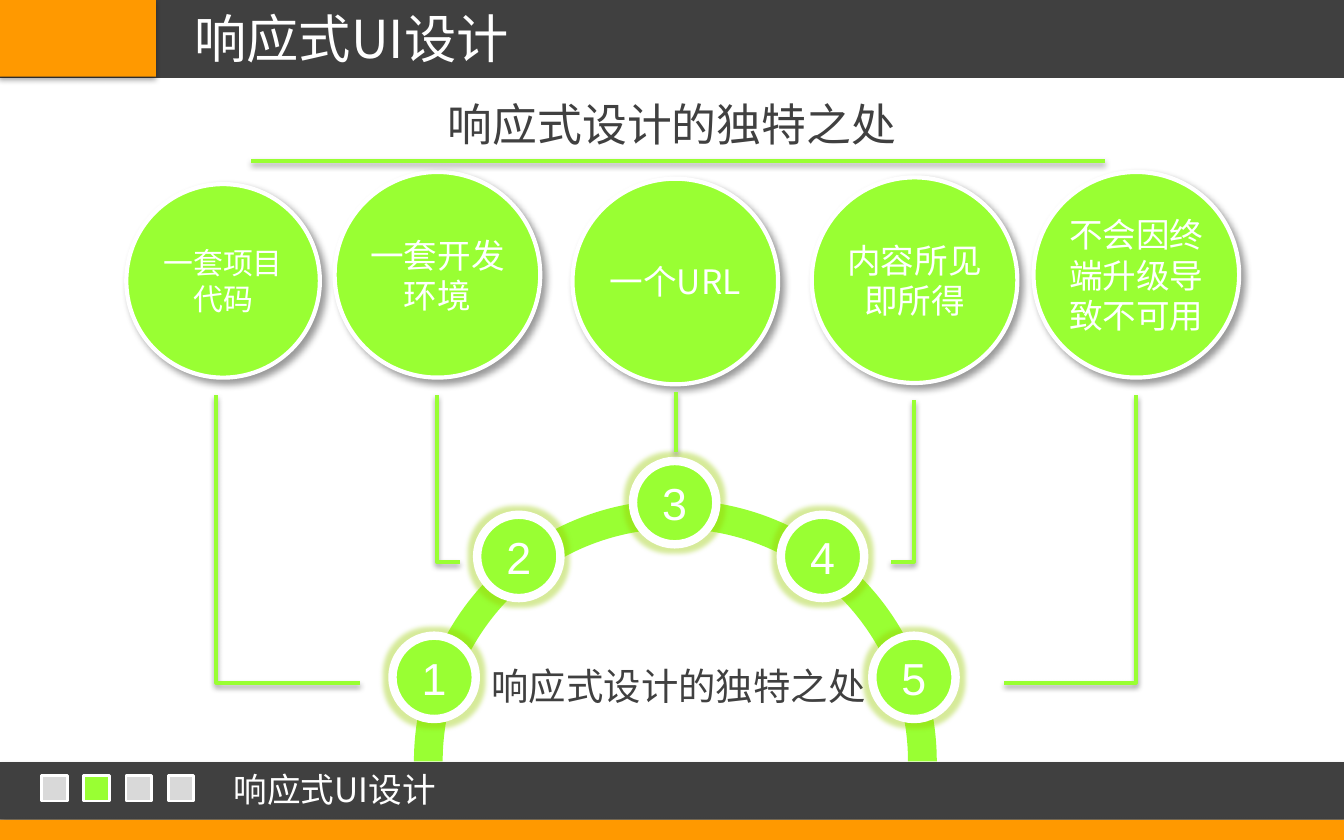
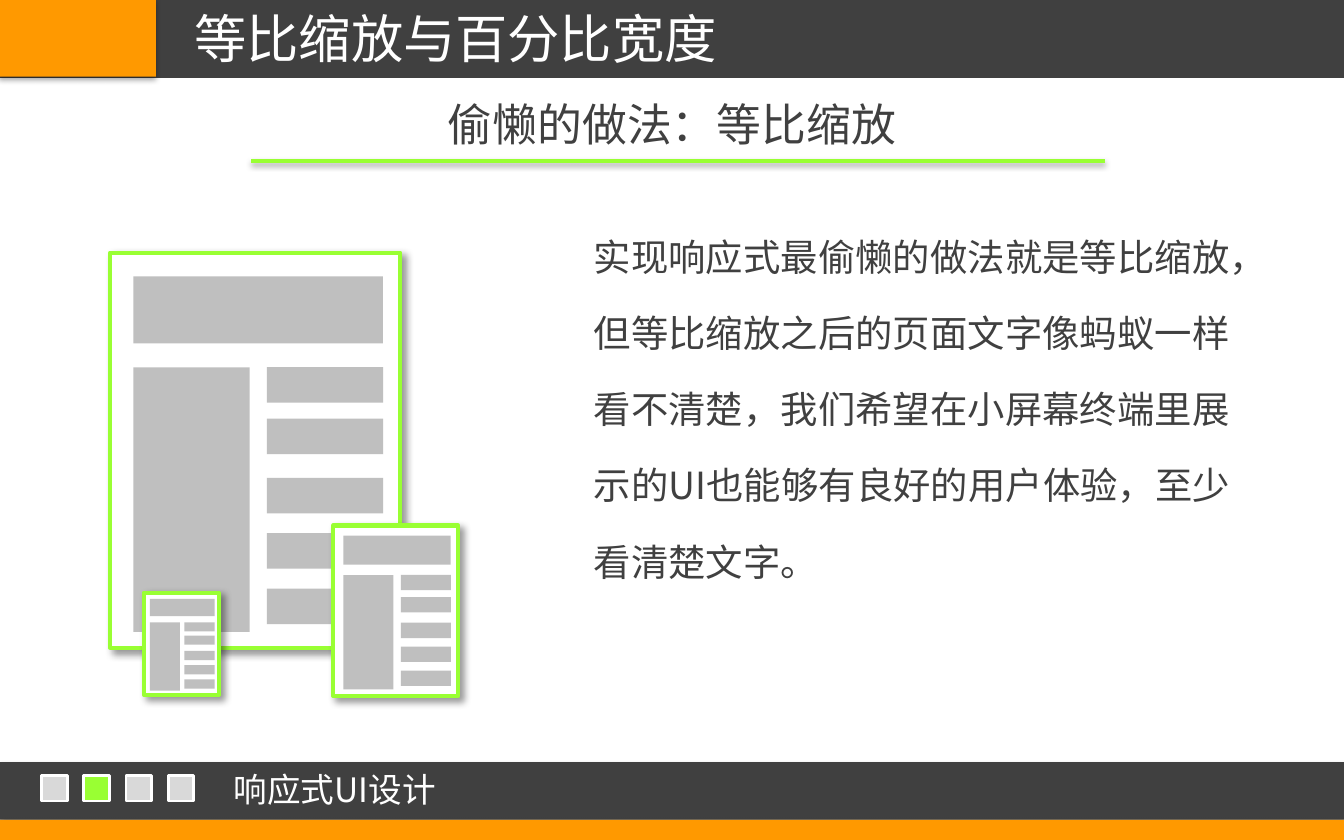
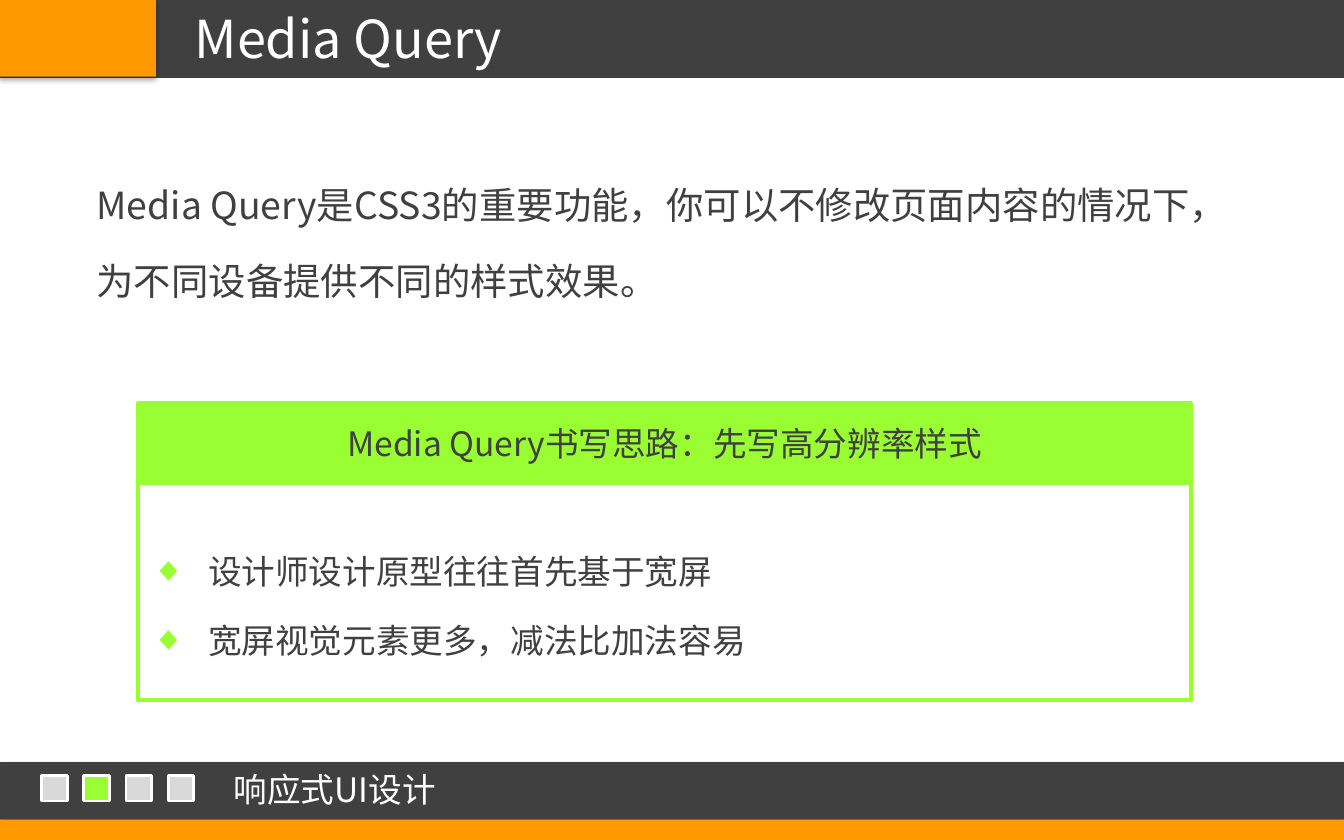
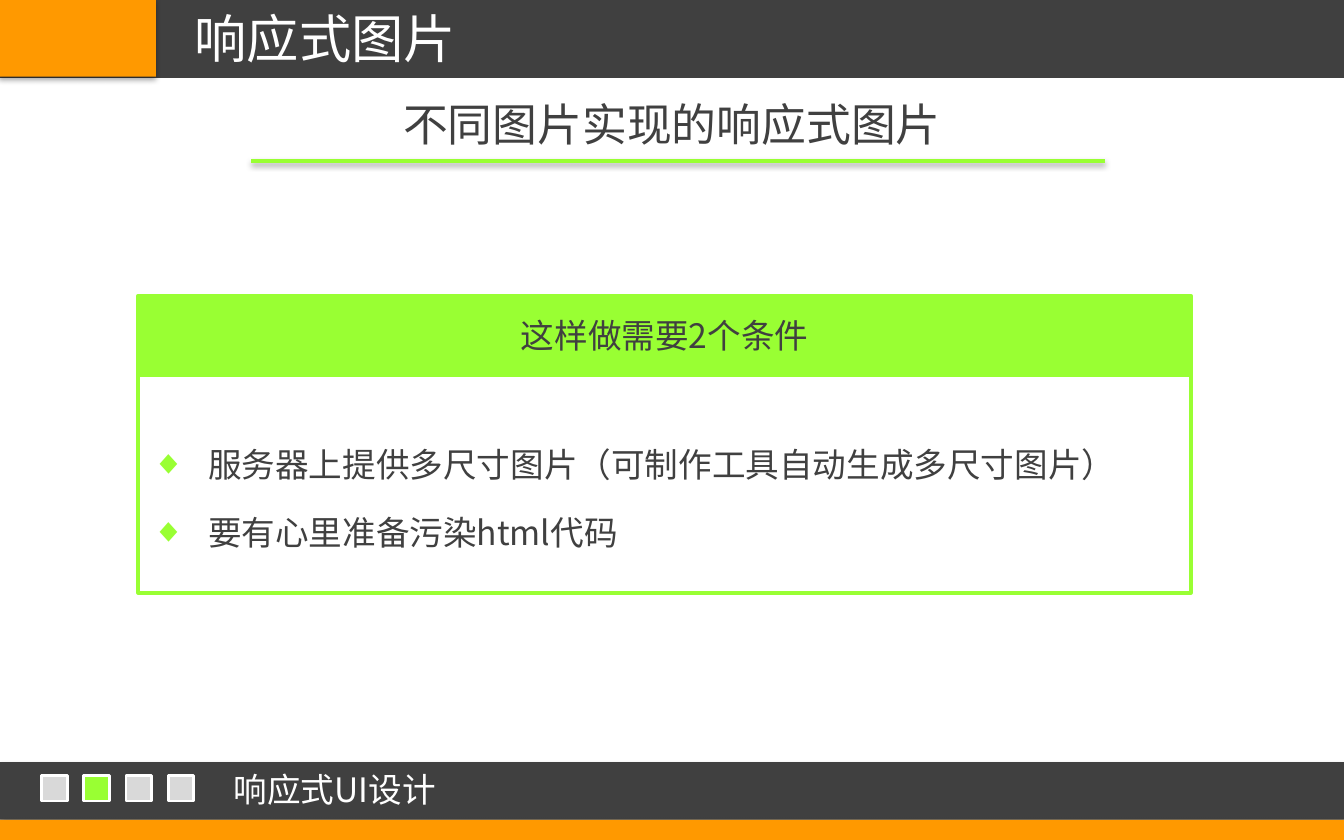
from dataclasses import dataclass
from typing import Optional

from lxml.etree import SubElement
from pptx import Presentation
from pptx.dml.color import RGBColor
from pptx.enum.shapes import MSO_CONNECTOR as LINK, MSO_SHAPE as KIND
from pptx.enum.text import MSO_ANCHOR as ANCHOR, MSO_AUTO_SIZE as FIT, PP_ALIGN as ALIGN
from pptx.oxml.ns import qn
from pptx.shapes.autoshape import Shape
from pptx.shapes.connector import Connector
from pptx.slide import Slide
from pptx.text.text import TextFrame
from pptx.util import Emu, Inches, Pt

# The grid: square cells, 100 columns by 62.5 rows
COLS, ROWS = 100, 62.5
CELL = Inches(10) / COLS

GREEN, ORANGE, DARK, WHITE = "99FF33", "FF9900", "404040", "FFFFFF"
PALE, GREY, BLACK, LIME = "D9D9D9", "BFBFBF", "000000", "99CC00"
CJK, LATIN = "Noto Sans CJK SC", "Arial"
TOPIC = "响应式UI设计"


@dataclass(frozen=True)
class Box:
    """Left, top, width and height in grid cells."""
    x: float
    y: float
    w: float
    h: float

    def emu(self) -> list[Emu]:
        return [cells(n) for n in (self.x, self.y, self.w, self.h)]

    def inner(self, share: "Box") -> "Box":
        """The box that takes the given shares of this one."""
        return Box(self.x + share.x * self.w, self.y + share.y * self.h,
                   share.w * self.w, share.h * self.h)


@dataclass(frozen=True)
class Shade:
    alpha: int
    blur: float
    dist: float
    angle: int


@dataclass(frozen=True)
class Style:
    size: float
    color: str = DARK
    font: str = CJK
    align: ALIGN = ALIGN.LEFT
    lines: Optional[float] = None
    before: float = 0


@dataclass(frozen=True)
class Trait:
    """A bubble, its label and the numbered stop on the arc it leads to."""
    label: str
    x: float
    y: float
    size: float
    stop: tuple[float, float]
    link: tuple[float, float, float, float]
    font: float = 18


BAND = Shade(35, 3.1, 1.8, 90)
DROP = Shade(40, 4, 3, 45)
RULE = Shade(38, 3.1, 1.6, 90)

BODY = Style(20, lines=1.7, before=4)
ITEM = Style(18, lines=1.7)

TRAITS = [
    Trait("一套项目代码", 9.4, 13.7, 14.4, (29.2, 47.3), (16.1, 29.4, 26.8, 50.8), 16),
    Trait("一套开发环境", 24.9, 12.8, 15.3, (35.5, 38.3), (32.5, 29.4, 34.2, 41.8)),
    Trait("一个URL", 42.6, 13.3, 15.3, (47.1, 34.3), (50.3, 29.2, 50.3, 33.6)),
    Trait("内容所见即所得", 60.4, 13.2, 15.3, (58.1, 38.3), (68, 29.8, 66.3, 41.8)),
    Trait("不会因终端升级导致不可用", 76.9, 12.8, 15.3, (64.9, 47.3), (84.5, 29.4, 74.7, 50.8)),
]

PAGES = [Box(8.2, 18.8, 21.6, 29.4), Box(24.8, 39.1, 9.3, 12.7), Box(10.7, 44.1, 5.6, 7.6)]
BLOCKS = [Box(0.08, 0.06, 0.86, 0.17), Box(0.08, 0.29, 0.4, 0.67)]
BLOCKS += [Box(0.54, y, 0.4, 0.09) for y in (0.29, 0.42, 0.57, 0.71, 0.85)]


def cells(n: float) -> Emu:
    return Emu(round(n * CELL))


def rgb(code: str) -> RGBColor:
    return RGBColor.from_string(code)


def effect(shape: Shape | Connector, name: str, color: str, alpha: int, **attrs: int) -> None:
    """Give a shape one effect in place of the theme's."""
    props = shape._element.spPr
    area = props.find(qn("a:effectLst"))
    if area is None:
        area = SubElement(props, qn("a:effectLst"))
    node = SubElement(area, qn(name), {k: str(v) for k, v in attrs.items()})
    tint = SubElement(node, qn("a:srgbClr"), val=color)
    SubElement(tint, qn("a:alpha"), val=str(alpha * 1000))


def cast(shape: Shape | Connector, shade: Shade) -> None:
    effect(shape, "a:outerShdw", BLACK, shade.alpha, blurRad=Pt(shade.blur),
           dist=Pt(shade.dist), dir=shade.angle * 60000, rotWithShape=0)


def draw(shapes, kind: KIND, box: Box, fill: Optional[str] = None, line: Optional[str] = None,
         width: float = 2.25, shade: Optional[Shade] = None) -> Shape:
    shape = shapes.add_shape(kind, *box.emu())
    shape.shadow.inherit = False
    if fill:
        shape.fill.solid()
        shape.fill.fore_color.rgb = rgb(fill)
    else:
        shape.fill.background()
    if line:
        shape.line.color.rgb = rgb(line)
        shape.line.width = Pt(width)
    else:
        shape.line.fill.background()
    if shade:
        cast(shape, shade)
    return shape


def write(frame: TextFrame, style: Style, *texts: str) -> None:
    frame.word_wrap = True
    for i, text in enumerate(texts):
        para = frame.add_paragraph() if i else frame.paragraphs[0]
        para.text = text
        para.alignment = style.align
        if style.lines:
            para.line_spacing = style.lines
        if style.before:
            para.space_before = Pt(style.before)
        font = para.font
        font.size, font.name = Pt(style.size), style.font
        font.color.rgb = rgb(style.color)
        SubElement(font._element, qn("a:ea"), typeface=style.font)


def label(shape: Shape, style: Style, *texts: str) -> None:
    shape.text_frame.vertical_anchor = ANCHOR.MIDDLE
    write(shape.text_frame, style, *texts)


def text(slide: Slide, box: Box, style: Style, words: str, grow: bool = True) -> None:
    frame = slide.shapes.add_textbox(*box.emu()).text_frame
    write(frame, style, words)
    frame.auto_size = FIT.SHAPE_TO_FIT_TEXT if grow else FIT.NONE


def bullet(frame: TextFrame) -> None:
    for para in frame.paragraphs:
        props = para._p.get_or_add_pPr()
        props.set("marL", str(cells(4.2)))
        props.set("indent", str(cells(-4.2)))
        marks = [props.makeelement(qn(tag), {}) for tag in ("a:buClr", "a:buFont", "a:buChar")]
        SubElement(marks[0], qn("a:srgbClr"), val=GREEN)
        marks[1].set("typeface", LATIN)
        marks[2].set("char", "◆")
        for mark in marks:
            props.find(qn("a:defRPr")).addprevious(mark)


def finish(line: Connector) -> None:
    line.line.color.rgb = rgb(GREEN)
    line.line.width = Pt(2)
    cast(line, RULE)


def straight(slide: Slide, x1: float, y1: float, x2: float, y2: float) -> None:
    ends = [cells(n) for n in (x1, y1, x2, y2)]
    finish(slide.shapes.add_connector(LINK.STRAIGHT, *ends))


def elbow(slide: Slide, x1: float, y1: float, x2: float, y2: float) -> None:
    """A line that runs down first and then sideways: a quarter-turned corner."""
    mx, my = (x1 + x2) / 2, (y1 + y2) / 2
    dx, dy = abs(x2 - x1) / 2, abs(y2 - y1) / 2
    ends = [cells(n) for n in (mx - dy, my - dx, mx + dy, my + dx)]
    line = slide.shapes.add_connector(LINK.ELBOW, *ends)
    props = line._element.spPr
    props.find(qn("a:prstGeom")).set("prst", "bentConnector2")
    frame = props.find(qn("a:xfrm"))
    frame.set("rot", str((270 if x2 > x1 else 90) * 60000))
    if x2 > x1:
        frame.set("flipH", "1")
    finish(line)


def base(deck, title: str, width: float = 75.1) -> Slide:
    """A slide with the bands, the footer and its title."""
    slide = deck.slides.add_slide(deck.slide_layouts[6])
    shapes = slide.shapes
    draw(shapes, KIND.RECTANGLE, Box(0, 56.7, COLS, 4.3), DARK, shade=BAND)
    draw(shapes, KIND.RECTANGLE, Box(0, 61, COLS, 1.5), ORANGE, shade=BAND)
    draw(shapes, KIND.RECTANGLE, Box(0, -0.1, COLS, 5.9), DARK)
    draw(shapes, KIND.RECTANGLE, Box(-0.1, -0.1, 11.7, 5.8), ORANGE, shade=BAND)
    for i in range(4):
        draw(shapes, KIND.RECTANGLE, Box(3.1 + 3.14 * i, 57.7, 1.9, 1.9),
             GREEN if i == 1 else PALE, WHITE, 1.5)
    text(slide, Box(16.4, 56.7, 29.1, 4), Style(18, WHITE), TOPIC)
    text(slide, Box(13.5, 0, width, 5.7), Style(28, WHITE), title)
    return slide


def head(slide: Slide, words: str) -> None:
    straight(slide, 18.7, 12, 82.2, 12)
    text(slide, Box(17.8, 6.7, 64.4, 5), Style(24, align=ALIGN.CENTER), words)


def panel(slide: Slide, top: float, title: str, *items: str) -> None:
    bar = draw(slide.shapes, KIND.RECTANGLE, Box(10.3, top, 78.3, 5.9), GREEN, GREEN)
    label(bar, Style(18, align=ALIGN.CENTER), title)
    body = draw(slide.shapes, KIND.RECTANGLE, Box(10.3, top + 5.9, 78.3, 16.2), line=GREEN)
    label(body, ITEM, *items)
    bullet(body.text_frame)


def stop(slide: Slide, num: int, trait: Trait) -> None:
    dot = draw(slide.shapes, KIND.OVAL, Box(*trait.stop, 6.2, 6.2), GREEN, WHITE, 4.5)
    effect(dot, "a:glow", LIME, 40, rad=Pt(5))
    label(dot, Style(24, WHITE, LATIN, ALIGN.CENTER), str(num))


def bubble(slide: Slide, trait: Trait) -> None:
    disc = draw(slide.shapes, KIND.OVAL, Box(trait.x, trait.y, trait.size, trait.size),
                GREEN, WHITE, shade=DROP)
    disc.text_frame.margin_left = disc.text_frame.margin_right = cells(0.4)
    label(disc, Style(trait.font, WHITE, align=ALIGN.CENTER), trait.label)


def traits(deck) -> None:
    slide = base(deck, TOPIC, 68.7)
    words = "响应式设计的独特之处"
    text(slide, Box(35.6, 46.5, 30.3, 7.4), BODY, words, grow=False)
    arc = draw(slide.shapes, KIND.BLOCK_ARC, Box(30.8, 37.2, 38.9, 38.9), GREEN)
    for i, value in enumerate((108, 216, 0.055)):
        arc.adjustments[i] = value
    for num, trait in enumerate(TRAITS, 1):
        stop(slide, num, trait)
        bubble(slide, trait)
        x1, _, x2, _ = trait.link
        (straight if x1 == x2 else elbow)(slide, *trait.link)
    head(slide, words)


def scaling(deck) -> None:
    slide = base(deck, "等比缩放与百分比宽度", 68.7)
    text(slide, Box(43.2, 14.6, 51.8, 32.2), BODY,
         "实现响应式最偷懒的做法就是等比缩放，但等比缩放之后的页面文字像蚂蚁一样看不清楚，"
         "我们希望在小屏幕终端里展示的UI也能够有良好的用户体验，至少看清楚文字。", grow=False)
    for page in PAGES:
        group = slide.shapes.add_group_shape().shapes
        draw(group, KIND.RECTANGLE, page, WHITE, GREEN, shade=DROP)
        for block in BLOCKS:
            draw(group, KIND.RECTANGLE, page.inner(block), GREY)
    head(slide, "偷懒的做法：等比缩放")


def query(deck) -> None:
    slide = base(deck, "Media Query")
    text(slide, Box(6.2, 10.7, 87.8, 14.4), BODY,
         "Media Query是CSS3的重要功能，你可以不修改页面内容的情况下，"
         "为不同设备提供不同的样式效果。", grow=False)
    panel(slide, 30, "Media Query书写思路：先写高分辨率样式",
          "设计师设计原型往往首先基于宽屏", "宽屏视觉元素更多，减法比加法容易")


def images(deck) -> None:
    slide = base(deck, "响应式图片")
    panel(slide, 22, "这样做需要2个条件",
          "服务器上提供多尺寸图片（可制作工具自动生成多尺寸图片）", "要有心里准备污染html代码")
    head(slide, "不同图片实现的响应式图片")


def main() -> None:
    deck = Presentation()
    deck.slide_width, deck.slide_height = cells(COLS), cells(ROWS)
    for build in (traits, scaling, query, images):
        build(deck)
    deck.save("out.pptx")


if __name__ == "__main__":
    main()
